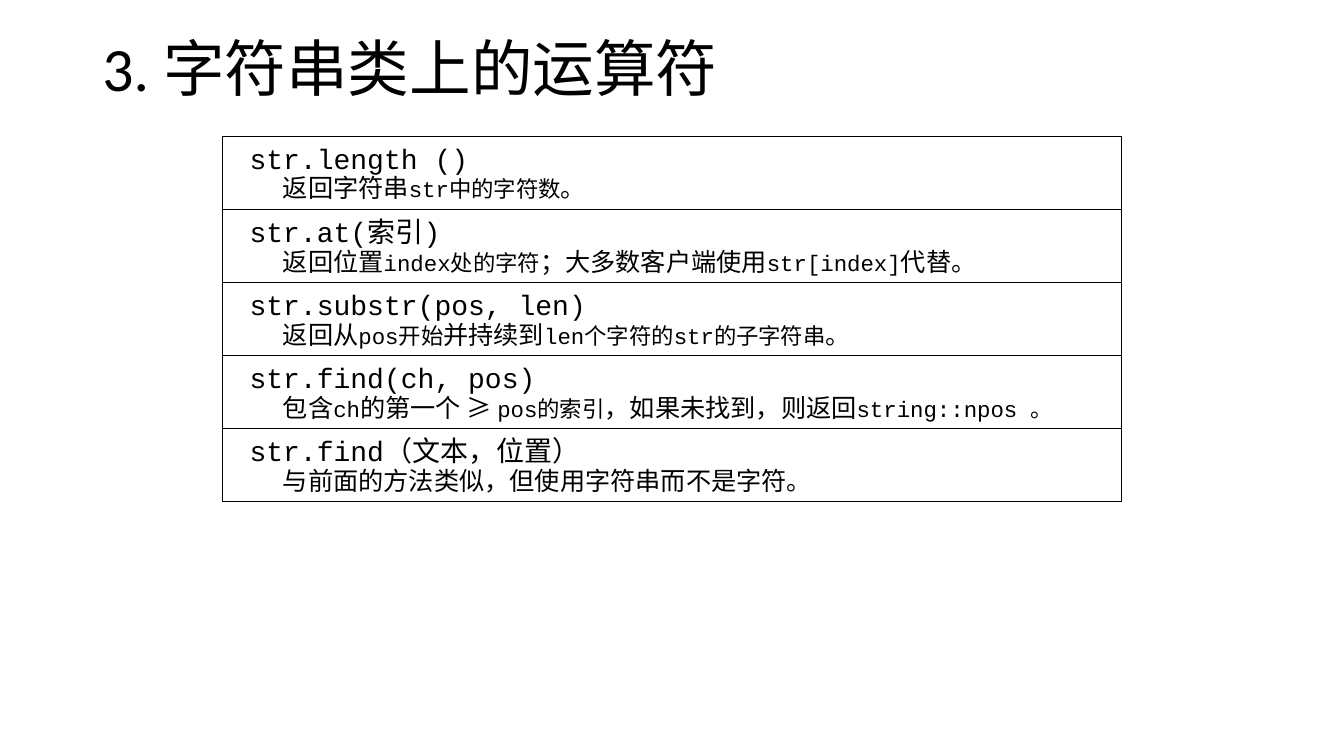
from dataclasses import dataclass

from pptx import Presentation
from pptx import util as u
from pptx.dml.color import RGBColor
from pptx.enum import shapes, text
from pptx.oxml.ns import qn
from lxml import etree

BLACK, WHITE = "000000", "FFFFFF"
SANS, MONO = "Calibri", "Courier New"
LEFT, TOP, WIDTH, PITCH = 5.61, 3.45, 22.66, 1.84


@dataclass
class Part:
    words: str
    size: int = 18
    font: str = SANS


@dataclass
class Method:
    call: str
    notes: list[Part]


def code(words: str) -> Part:
    return Part(words, 16, MONO)


def color(hex: str) -> RGBColor:
    return RGBColor.from_string(hex)


def add_text(owner, left: float, top: float, width: float, height: float,
             parts: list[Part]):
    """Add a wrapped text box with one paragraph of styled runs."""
    box = owner.add_textbox(u.Cm(left), u.Cm(top), u.Cm(width), u.Cm(height))
    frame = box.text_frame
    frame.word_wrap = True
    para = frame.paragraphs[0]
    for part in parts:
        run = para.add_run()
        run.text = part.words
        run.font.size = u.Pt(part.size)
        run.font.name = part.font
        run.font.color.rgb = color(BLACK)
    return frame


def add_note(owner, left: float, top: float, width: float, height: float,
             parts: list[Part]) -> None:
    """Add a text box that fits its text, with half a line of space before."""
    frame = add_text(owner, left, top, width, height, parts)
    frame.auto_size = text.MSO_AUTO_SIZE.SHAPE_TO_FIT_TEXT
    props = frame.paragraphs[0]._p.get_or_add_pPr()
    space = etree.SubElement(props, qn("a:spcBef"))
    etree.SubElement(space, qn("a:spcPct")).set("val", "50000")


def add_row(slide, top: float, method: Method) -> None:
    """Add one framed method with its call and description."""
    group = slide.shapes.add_group_shape().shapes
    frame = group.add_shape(shapes.MSO_SHAPE.RECTANGLE, u.Cm(LEFT), u.Cm(top),
                            u.Cm(WIDTH), u.Cm(PITCH))
    frame.shadow.inherit = False
    frame.fill.solid()
    frame.fill.fore_color.rgb = color(WHITE)
    frame.line.color.rgb = color(BLACK)
    frame.line.width = u.Pt(0.75)
    add_note(group, LEFT + 0.43, top - 0.02, 21.79, 1.09,
             [Part(method.call, 20, MONO)])
    add_note(group, LEFT + 1.27, top + 0.78, 21.16, 1.02, method.notes)


METHODS = [
    Method("str.length ()",
           [Part("返回字符串"), code("str中的字符数"), Part("。")]),
    Method("str.at(索引)",
           [Part("返回位置"), code("index处的字符"), Part("；大多数客户端使用"),
            code("str[index]"), Part("代替。")]),
    Method("str.substr(pos, len)",
           [Part("返回从"), code("pos开始"), Part("并持续到"),
            code("len个字符的str的子字符串"), Part("。")]),
    Method("str.find(ch, pos)",
           [Part("包含"), code("ch"), Part("的第一个 ≥ "), code("pos的索引"),
            Part("，如果未找到，则返回"), code("string::npos 。")]),
    Method("str.find（文本，位置）",
           [Part("与前面的方法类似，但使用字符串而不是字符。")]),
]


def main() -> None:
    deck = Presentation()
    deck.slide_width, deck.slide_height = u.Cm(33.87), u.Cm(19.05)
    slide = deck.slides.add_slide(deck.slide_layouts[6])

    # Title
    title = add_text(slide.shapes, 2.33, -0.04, 31.12, 3.68,
                     [Part("3. 字符串类上的运算符", 44)])
    title.vertical_anchor = text.MSO_ANCHOR.MIDDLE
    title.paragraphs[0].line_spacing = 0.9

    # Method rows
    for i, method in enumerate(METHODS):
        add_row(slide, TOP + i * PITCH, method)

    deck.save("out.pptx")


if __name__ == "__main__":
    main()
